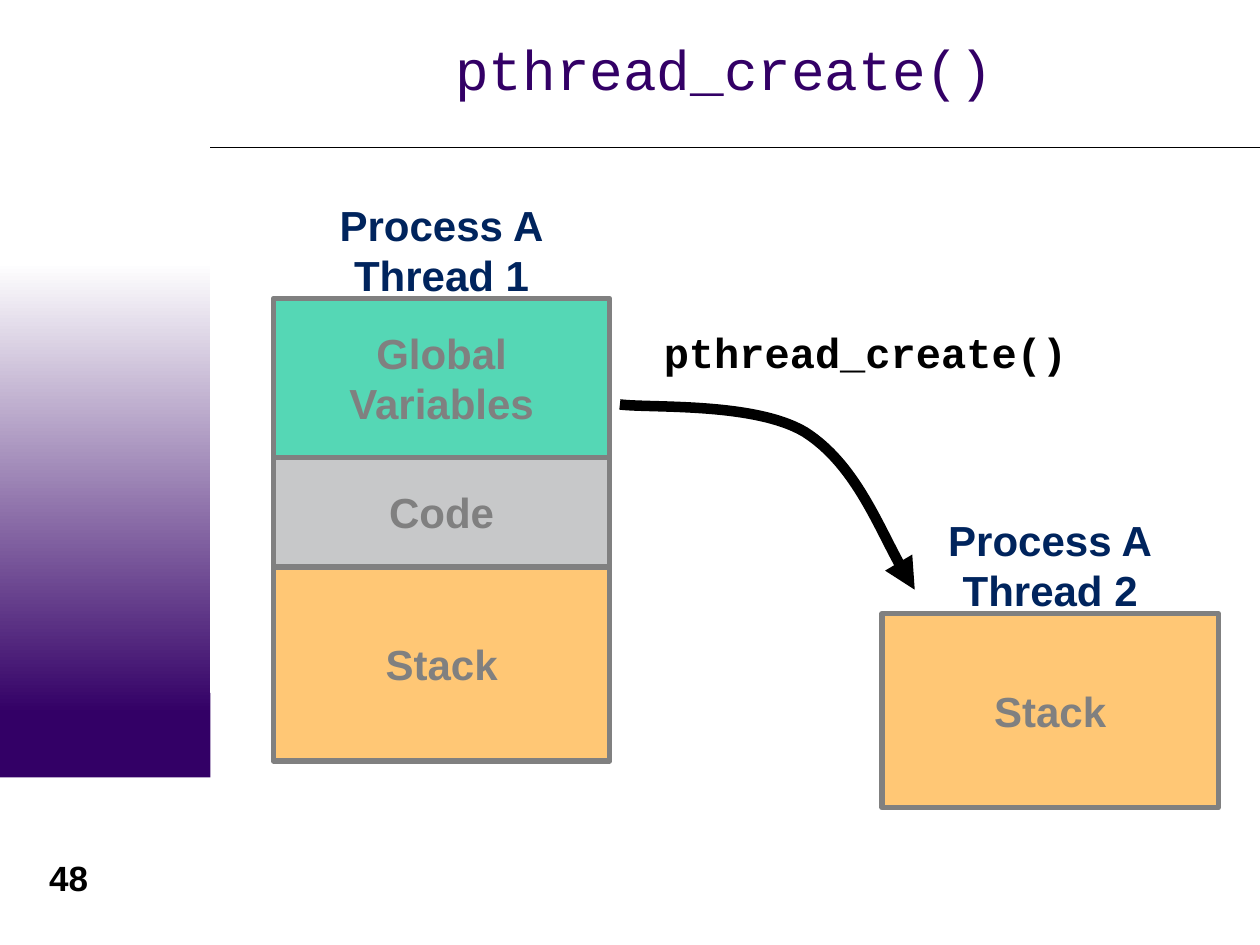
from dataclasses import dataclass

from pptx import Presentation
from pptx import util as u
from pptx.dml.color import RGBColor
from pptx.enum import shapes, text
from pptx.oxml import ns, xmlchemy

PURPLE = RGBColor(0x33, 0x00, 0x66)
NAVY = RGBColor(0x00, 0x24, 0x5D)
TEAL = RGBColor(0x55, 0xD7, 0xB5)
SILVER = RGBColor(0xC7, 0xC8, 0xC9)
ORANGE = RGBColor(0xFF, 0xC7, 0x75)
GRAY = RGBColor(0x80, 0x80, 0x80)
BLACK = RGBColor(0, 0, 0)
WHITE = RGBColor(0xFF, 0xFF, 0xFF)

BLOCK_WIDTH = 2.67
CALL = "pthread_create()"


@dataclass(frozen=True)
class Segment:
    label: str
    height: float
    color: RGBColor


@dataclass(frozen=True)
class Thread:
    title: str
    left: float
    top: float
    segments: tuple[Segment, ...]


STACK = Segment("Stack", 1.54, ORANGE)
THREADS = (
    Thread("Process A\nThread 1", 2.17, 2.37,
           (Segment("Global\nVariables", 1.26, TEAL), Segment("Code", 0.87, SILVER), STACK)),
    Thread("Process A\nThread 2", 7, 4.87, (STACK,)),
)
# Start point, then two control points and an end point for each curve
ARROW_POINTS = ((4.92, 3.21), (5.16, 3.24), (5.99, 3.19), (6.39, 3.43),
                (6.78, 3.68), (7.08, 4.42), (7.26, 4.68))


def write(shape, content: str, *, size: float = 24, font: str = "Arial",
          color: RGBColor = BLACK, bold: bool = True, align=text.PP_ALIGN.CENTER,
          anchor=text.MSO_ANCHOR.MIDDLE, wrap: bool = True, spacing: float = 1.0) -> None:
    frame = shape.text_frame
    frame.auto_size = text.MSO_AUTO_SIZE.NONE
    frame.word_wrap = wrap
    frame.vertical_anchor = anchor
    for index, line in enumerate(content.split("\n")):
        para = frame.paragraphs[0] if index == 0 else frame.add_paragraph()
        para.alignment = align
        para.line_spacing = spacing
        span = para.add_run()
        span.text = line
        span.font.size = u.Pt(size)
        span.font.name = font
        span.font.bold = bold
        span.font.color.rgb = color


def add_box(page, left: float, top: float, width: float, height: float):
    return page.shapes.add_textbox(*map(u.Inches, (left, top, width, height)))


def add_rectangle(page, left: float, top: float, width: float, height: float, color: RGBColor):
    box = page.shapes.add_shape(shapes.MSO_SHAPE.RECTANGLE,
                                *map(u.Inches, (left, top, width, height)))
    box.shadow.inherit = False
    box.fill.solid()
    box.fill.fore_color.rgb = color
    box.line.fill.background()
    return box


def add_thread(page, thread: Thread) -> None:
    write(add_box(page, thread.left, thread.top - 0.66, BLOCK_WIDTH, 0.54),
          thread.title, color=NAVY)
    top = thread.top
    for segment in thread.segments:
        box = add_rectangle(page, thread.left, top, BLOCK_WIDTH, segment.height, segment.color)
        box.line.color.rgb = GRAY
        box.line.width = u.Pt(3)
        write(box, segment.label, color=GRAY)
        top += segment.height


def add_curved_arrow(page, points: tuple[tuple[float, float], ...]) -> None:
    corners = [(u.Inches(x), u.Inches(y)) for x, y in points]
    builder = page.shapes.build_freeform(*corners[0])
    builder.add_line_segments(corners[1:], close=False)
    arrow = builder.convert_to_shape()
    arrow.shadow.inherit = False
    arrow.fill.background()
    arrow.line.color.rgb = BLACK
    arrow.line.width = u.Pt(6)
    # Turn each three line segments into one Bezier curve
    outline = arrow._element.find(".//" + ns.qn("a:path"))
    lines = outline.findall(ns.qn("a:lnTo"))
    for start in range(0, len(lines), 3):
        curve = xmlchemy.OxmlElement("a:cubicBezTo")
        for line in lines[start:start + 3]:
            curve.append(line[0])
            outline.remove(line)
        outline.append(curve)
    head = xmlchemy.OxmlElement("a:tailEnd")
    head.set("type", "triangle")
    arrow.line._get_or_add_ln().append(head)


def add_frame(page) -> None:
    # Side band fading into solid purple
    add_rectangle(page, 0, 5.5, 1.67, 0.67, PURPLE)
    band = add_rectangle(page, 0, 2.08, 1.67, 3.58, PURPLE)
    band.fill.gradient()
    band.fill.gradient_angle = 270
    for stop, color in zip(band.fill.gradient_stops, (WHITE, PURPLE)):
        stop.color.rgb = color

    # Rule below the title
    rule = page.shapes.add_connector(shapes.MSO_CONNECTOR.STRAIGHT,
                                     *map(u.Inches, (1.67, 1.17, 10, 1.17)))
    rule.line.color.rgb = BLACK
    rule.line.width = u.Pt(0.75)
    rule._element.spPr.append(xmlchemy.OxmlElement("a:effectLst"))

    # Page number
    write(add_box(page, 0.17, 6.75, 0.75, 0.44), "48", size=20, anchor=text.MSO_ANCHOR.TOP)


def main() -> None:
    deck = Presentation()
    deck.slide_width, deck.slide_height = u.Inches(10), u.Inches(7.5)
    page = deck.slides.add_slide(deck.slide_layouts[5])
    add_frame(page)

    # Title
    title = page.shapes.title
    title.left, title.top, title.width, title.height = map(u.Inches, (1.5, 0, 8.5, 1.17))
    write(title, CALL, size=32, font="Courier New", color=PURPLE, bold=False, spacing=0.85)

    # Threads and the call that links them
    for thread in THREADS:
        add_thread(page, thread)
    add_curved_arrow(page, ARROW_POINTS)
    write(add_box(page, 5.17, 2.54, 3.4, 0.5), CALL, font="Courier New",
          align=text.PP_ALIGN.LEFT, anchor=text.MSO_ANCHOR.TOP, wrap=False)

    deck.save("out.pptx")


if __name__ == "__main__":
    main()
